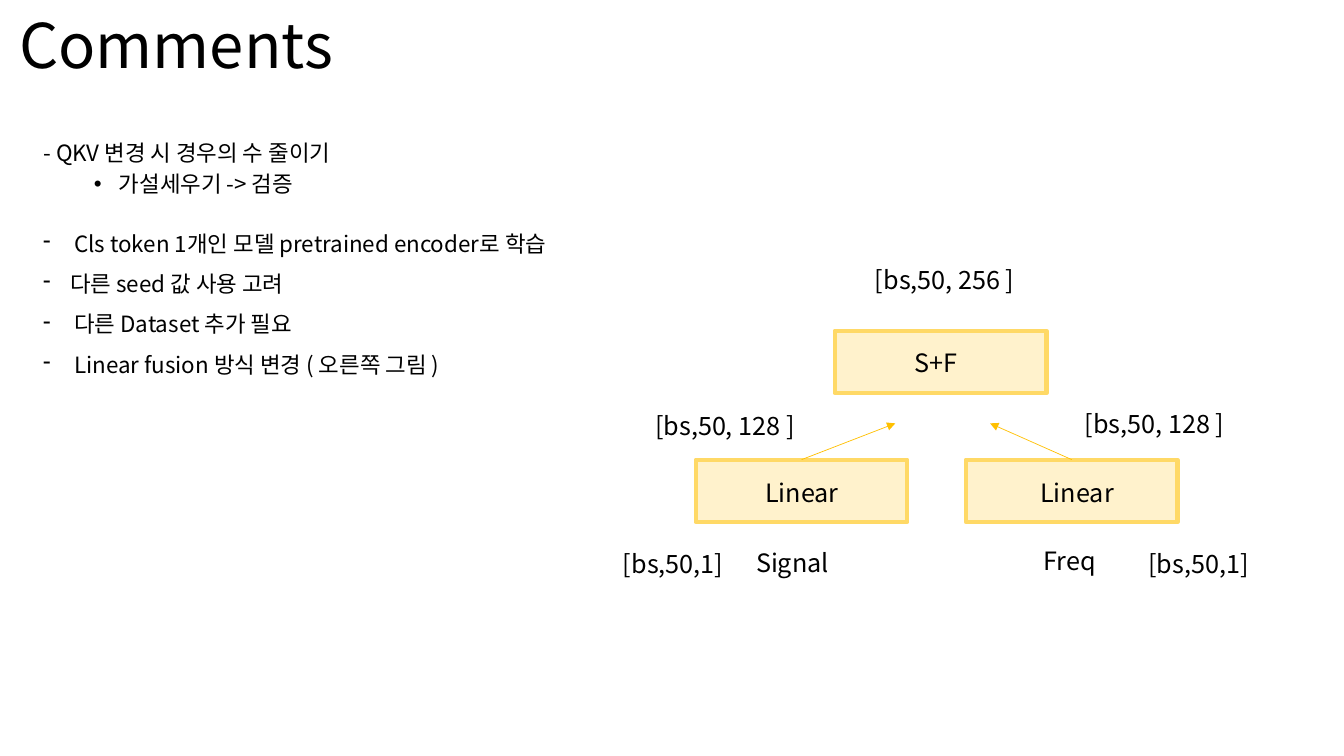
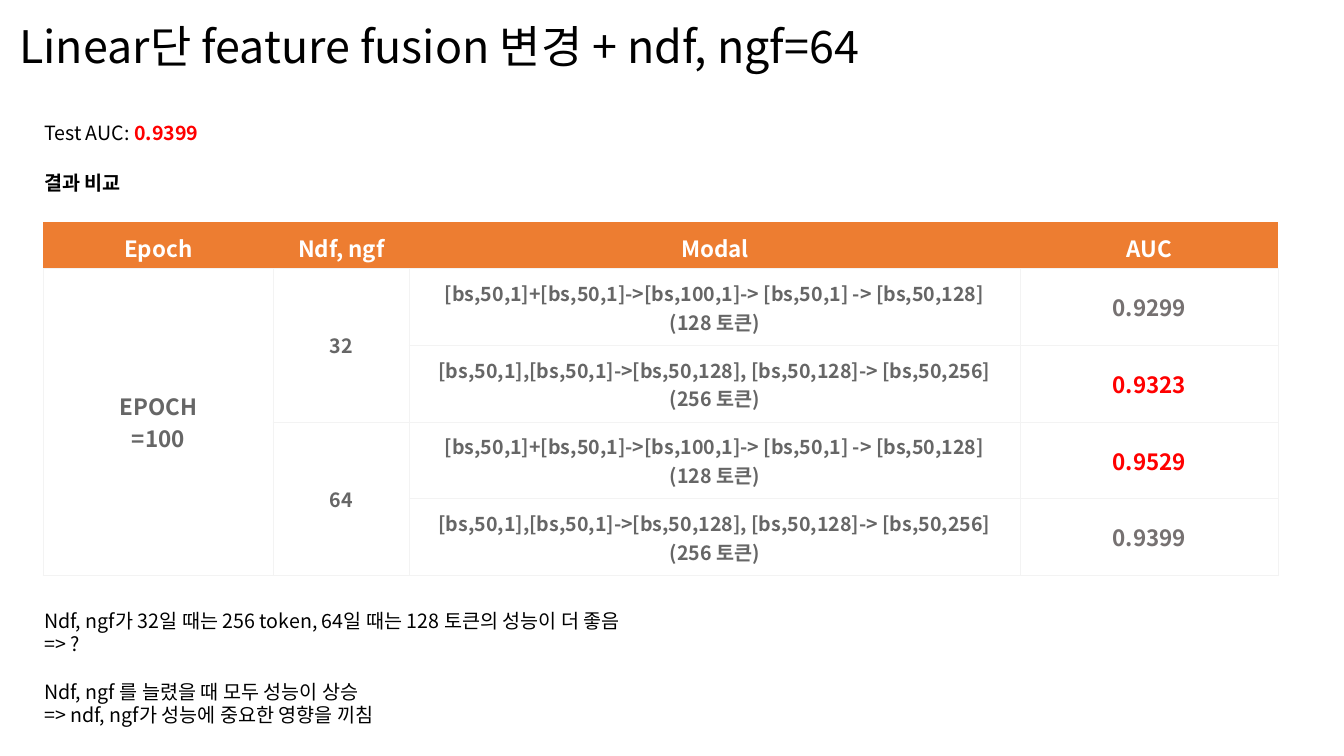
from dataclasses import dataclass
from typing import Sequence

from lxml import etree
from pptx import Presentation
from pptx.dml.color import RGBColor
from pptx.enum import shapes, text
from pptx.oxml import ns
from pptx.slide import Slide
from pptx.table import _Cell
from pptx.text.text import TextFrame
from pptx.util import Inches, Pt

FONT = "Noto Sans CJK KR"
COLORS = {
    "ink": "000000",
    "paper": "FFFFFF",
    "red": "FF0000",
    "box": "FFF2CC",
    "box_edge": "FFD966",
    "arrow": "FFC000",
    "header": "ED7D31",
    "grid": "F3F3F3",
    "cell": "666666",
    "score": "767171",
}


@dataclass(frozen=True)
class Para:
    words: str
    size: float
    color: str = "ink"
    bold: bool = False
    centered: bool = False
    spacing: float = 1.0
    before: float = 0
    bullet: str = ""
    left: float = 0
    hang: float = 0
    level: int = 0
    accent: str = ""


@dataclass(frozen=True)
class Label:
    words: str
    left: float
    top: float
    width: float


@dataclass(frozen=True)
class Node:
    left: float
    top: float


@dataclass(frozen=True)
class Arrow:
    start: tuple[float, float]
    end: tuple[float, float]


@dataclass(frozen=True)
class Result:
    modal: tuple[str, str]
    auc: str
    best: bool


def rgb(name: str) -> RGBColor:
    return RGBColor.from_string(COLORS[name])


def write(frame: TextFrame, paras: Sequence[Para]) -> None:
    frame.word_wrap = True
    for index, para in enumerate(paras):
        line = frame.add_paragraph() if index else frame.paragraphs[0]
        line.level = para.level
        props = line._p.get_or_add_pPr()
        props.set("marL", str(Inches(para.left)))
        props.set("indent", str(-Inches(para.hang)))
        if para.bullet:
            etree.SubElement(props, ns.qn("a:buChar"), char=para.bullet)
        else:
            etree.SubElement(props, ns.qn("a:buNone"))
        line.alignment = text.PP_ALIGN.CENTER if para.centered else text.PP_ALIGN.LEFT
        line.line_spacing = para.spacing
        line.space_before = Pt(para.before)
        line.font.name = FONT
        line.font.size = Pt(para.size)
        line.font.color.rgb = rgb(para.color)
        if not para.accent:
            line.font.bold = para.bold
        east_asian = etree.SubElement(props.find(ns.qn("a:defRPr")), ns.qn("a:ea"))
        east_asian.set("typeface", FONT)
        line.add_run().text = para.words
        if para.accent:
            accent = line.add_run()
            accent.text = para.accent
            accent.font.bold = True
            accent.font.color.rgb = rgb("red")


def place(shape, left: float, top: float, width: float, height: float) -> None:
    shape.left, shape.top = Inches(left), Inches(top)
    shape.width, shape.height = Inches(width), Inches(height)


def add_titled_slide(layout, heading: str, size: float) -> Slide:
    slide = deck.slides.add_slide(layout)
    place(slide.shapes.title, 0.09, -0.24, 11.5, 1.45)
    frame = slide.shapes.title.text_frame
    frame.auto_size = text.MSO_AUTO_SIZE.NONE
    frame.vertical_anchor = text.MSO_ANCHOR.MIDDLE
    write(frame, [Para(heading, size, spacing=0.9)])
    return slide


def add_text(slide: Slide, left: float, top: float, width: float, height: float,
             paras: Sequence[Para]) -> None:
    box = slide.shapes.add_textbox(Inches(left), Inches(top), Inches(width), Inches(height))
    write(box.text_frame, paras)


def add_node(slide: Slide, node: Node) -> None:
    box = slide.shapes.add_shape(shapes.MSO_SHAPE.RECTANGLE, Inches(node.left),
                                 Inches(node.top), Inches(2.1), Inches(0.62))
    box.shadow.inherit = False
    box.fill.solid()
    box.fill.fore_color.rgb = rgb("box")
    box.line.color.rgb = rgb("box_edge")
    box.line.width = Pt(3)


def add_arrow(slide: Slide, arrow: Arrow) -> None:
    ends = [Inches(value) for value in (*arrow.start, *arrow.end)]
    link = slide.shapes.add_connector(shapes.MSO_CONNECTOR.STRAIGHT, *ends)
    link.line.color.rgb = rgb("arrow")
    link.line.width = Pt(0.5)
    props = link._element.spPr
    etree.SubElement(props.find(ns.qn("a:ln")), ns.qn("a:tailEnd"), type="triangle")
    etree.SubElement(props, ns.qn("a:effectLst"))


def style_cell(cell: _Cell, fill: str, bordered_sides: str) -> None:
    props = cell._tc.get_or_add_tcPr()
    for side in "LRTB":
        edge = etree.SubElement(props, ns.qn(f"a:ln{side}"), w=str(Pt(0.75)))
        if side in bordered_sides:
            solid = etree.SubElement(edge, ns.qn("a:solidFill"))
            etree.SubElement(solid, ns.qn("a:srgbClr"), val=COLORS["grid"])
        else:
            etree.SubElement(edge, ns.qn("a:noFill"))
    cell.fill.solid()
    cell.fill.fore_color.rgb = rgb(fill)
    cell.vertical_anchor = text.MSO_ANCHOR.MIDDLE
    cell.margin_left = cell.margin_right = Inches(0.1)
    cell.margin_top = cell.margin_bottom = Inches(0.1)


def write_cell(cell: _Cell, lines: Sequence[str], size: float, color: str) -> None:
    write(cell.text_frame,
          [Para(words, size, color, bold=True, centered=True) for words in lines])


def add_results(slide: Slide, results: Sequence[Result]) -> None:
    widths = [2.28, 1.35, 6.06, 2.56]
    heights = [0.41] + [0.76] * len(results)
    grid = slide.shapes.add_table(len(heights), len(widths), Inches(0.43), Inches(2.2),
                                  Inches(sum(widths)), Inches(sum(heights))).table
    for column, width in zip(grid.columns, widths):
        column.width = Inches(width)
    for row, height in zip(grid.rows, heights):
        row.height = Inches(height)
    for index, row in enumerate(grid.rows):
        for cell in row.cells:
            style_cell(cell, "paper" if index else "header", "LRTB" if index else "B")
    for column, heading in enumerate(["Epoch", "Ndf, ngf", "Modal", "AUC"]):
        write_cell(grid.cell(0, column), [heading], 16, "paper")
    grid.cell(1, 0).merge(grid.cell(len(results), 0))
    write_cell(grid.cell(1, 0), ["EPOCH", "=100"], 16, "cell")
    for first, filters in ((1, "32"), (3, "64")):
        grid.cell(first, 1).merge(grid.cell(first + 1, 1))
        write_cell(grid.cell(first, 1), [filters], 14, "cell")
    for index, result in enumerate(results, start=1):
        write_cell(grid.cell(index, 2), result.modal, 14, "cell")
        write_cell(grid.cell(index, 3), [result.auc], 16, "red" if result.best else "score")


SIZE_WIDTH = 1.8
NODES = [Node(6.9, 4.56), Node(9.58, 4.56), Node(8.28, 3.28)]
ARROWS = [Arrow((10.63, 4.56), (9.82, 4.2)), Arrow((7.95, 4.56), (8.88, 4.2))]
LABELS = [
    Label("[bs,50,1]", 6.08, 5.39, 1.58),
    Label("[bs,50,1]", 11.29, 5.39, 1.58),
    Label("Linear", 7.49, 4.69, 1.1),
    Label("Linear", 10.22, 4.69, 1.1),
    Label("S+F", 8.97, 3.4, 1.1),
    Label("[bs,50, 128 ]", 10.66, 4, SIZE_WIDTH),
    Label("[bs,50, 128 ]", 6.4, 4.02, SIZE_WIDTH),
    Label("[bs,50, 256 ]", 8.58, 2.57, SIZE_WIDTH),
    Label("Signal", 7.4, 5.38, 1.39),
    Label("Freq", 10.25, 5.36, 0.89),
]
TASKS = [
    ("Cls token 1개인 모델 pretrained encoder로 학습", 0.31),
    ("다른 seed 값 사용 고려", 0.27),
    ("다른 Dataset 추가 필요", 0.31),
    ("Linear fusion 방식 변경 ( 오른쪽 그림 )", 0.31),
]
SUMMED = ("[bs,50,1]+[bs,50,1]->[bs,100,1]-> [bs,50,1] -> [bs,50,128]", "(128 토큰)")
JOINED = ("[bs,50,1],[bs,50,1]->[bs,50,128], [bs,50,128]-> [bs,50,256]", "(256 토큰)")
RESULTS = [
    Result(SUMMED, "0.9299", False),
    Result(JOINED, "0.9323", True),
    Result(SUMMED, "0.9529", True),
    Result(JOINED, "0.9399", False),
]

deck = Presentation()
deck.slide_width, deck.slide_height = Inches(13.33), Inches(7.5)

comments = add_titled_slide(deck.slide_layouts[1], "Comments", 44)
hypothesis = comments.placeholders[1]
place(hypothesis, 0.33, 1.36, 11.5, 0.89)
hypothesis.text_frame.auto_size = text.MSO_AUTO_SIZE.NONE
write(hypothesis.text_frame, [
    Para("- QKV 변경 시 경우의 수 줄이기", 16, spacing=0.9, before=10),
    Para("가설세우기 -> 검증", 16, spacing=0.9, before=5, bullet="•",
         left=0.75, hang=0.25, level=1),
])
add_text(comments, 0.33, 2.1, 10.56, 2.07, [
    Para(task, 16, spacing=1.5, bullet="-", left=indent, hang=indent)
    for task, indent in TASKS
])
for node in NODES:
    add_node(comments, node)
for arrow in ARROWS:
    add_arrow(comments, arrow)
for label in LABELS:
    add_text(comments, label.left, label.top, label.width, 0.4, [Para(label.words, 18)])

fusion = add_titled_slide(deck.slide_layouts[5], "Linear단 feature fusion 변경 + ndf, ngf=64", 32)
add_text(fusion, 0.34, 1.15, 4.36, 0.34, [Para("Test AUC: ", 14, accent="0.9399")])
add_text(fusion, 0.34, 1.65, 4.36, 0.34, [Para("결과 비교", 14, bold=True)])
add_results(fusion, RESULTS)
add_text(fusion, 0.34, 5.99, 10.08, 1.51, [
    Para("Ndf, ngf가 32일 때는 256 token, 64일 때는 128 토큰의 성능이 더 좋음", 14),
    Para("=> ?", 14),
    Para("Ndf, ngf 를 늘렸을 때 모두 성능이 상승", 14, before=17),
    Para("=> ndf, ngf가 성능에 중요한 영향을 끼침", 14),
])

deck.save("out.pptx")
